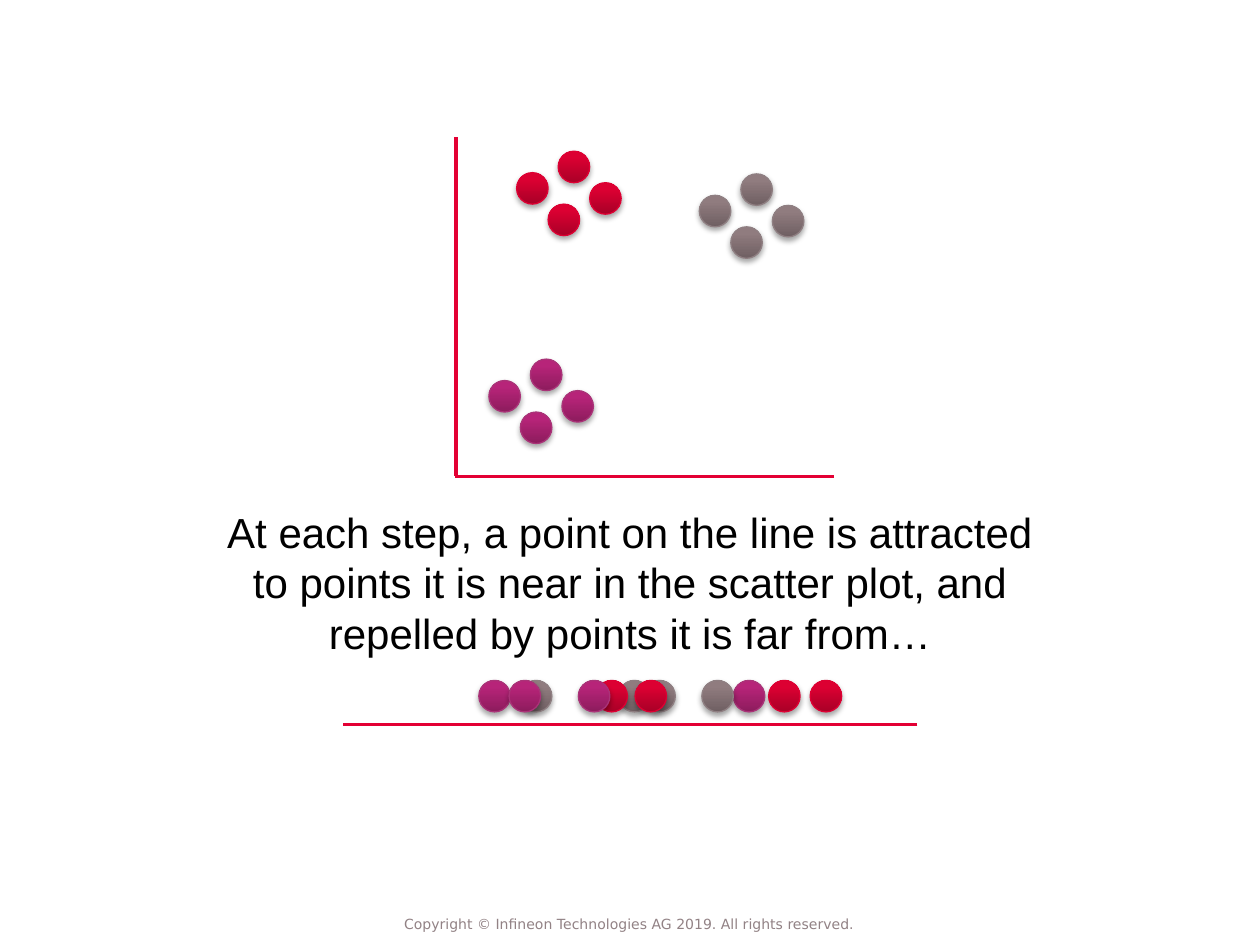
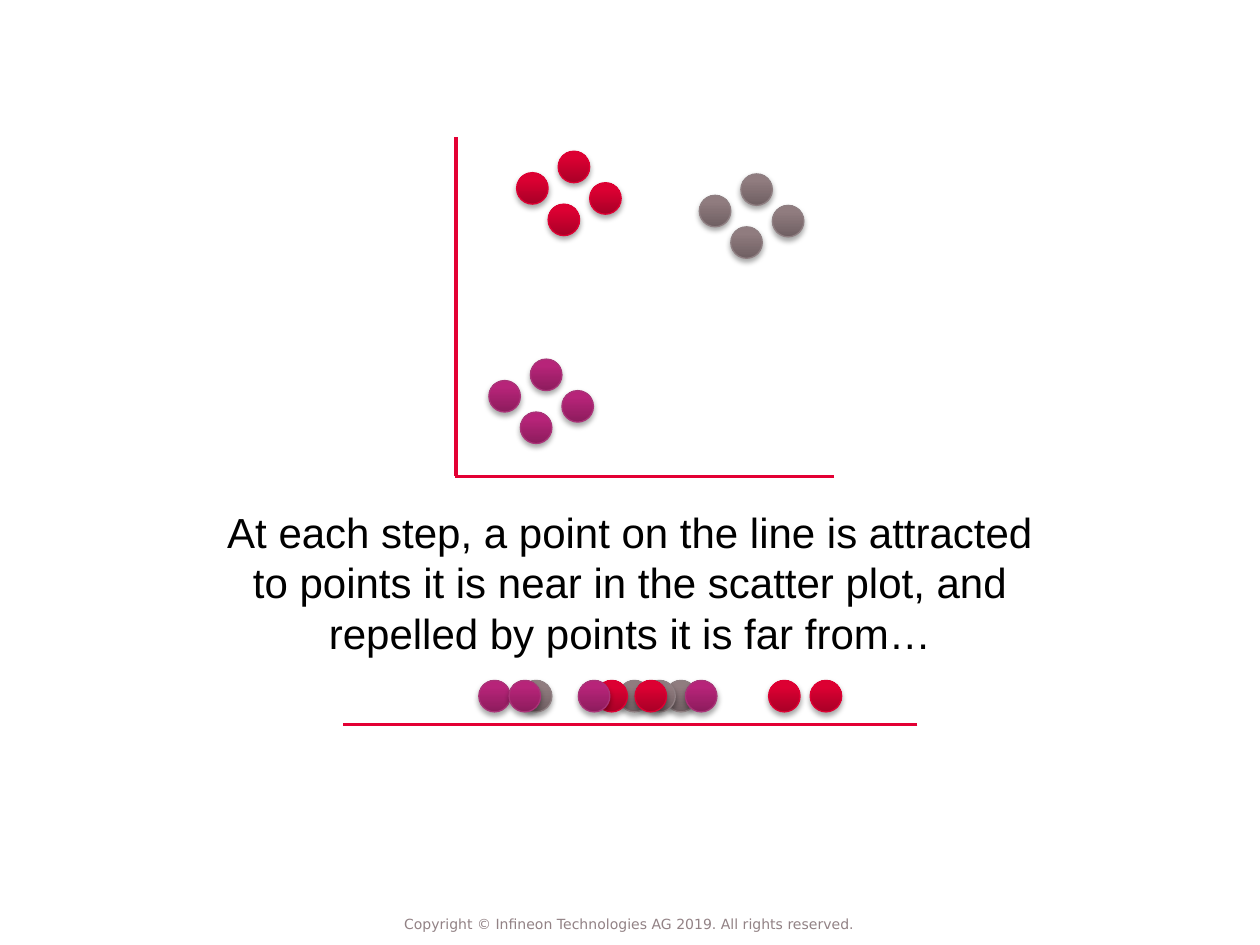
"""Build two slides showing points on a line being moved to match the clusters of a scatter plot."""
from copy import deepcopy
from dataclasses import dataclass

from lxml.etree import SubElement
from pptx import Presentation
from pptx.dml.color import RGBColor
from pptx.enum.shapes import MSO_CONNECTOR, MSO_SHAPE
from pptx.enum.text import MSO_ANCHOR, MSO_AUTO_SIZE, PP_ALIGN
from pptx.oxml.ns import qn
from pptx.util import Pt

PX = 9144


@dataclass(frozen=True)
class Theme:
    axis: str = "E30034"
    red: tuple = ("A90027", "DC0032", "DD0033", "DE0033")
    purple: tuple = ("8D1C5D", "B72479", "BA227A", "AA3378")
    grey: tuple = ("6F5F62", "907C7F", "917C80", "8F7F82")
    caption: tuple = ("Arial", 24, "000000")
    footer: tuple = ("DejaVu Sans", 8, "928285")
    axis_width: float = 2
    dot_outline: float = 0.75


theme = Theme()


def add_dot(shapes, left, top, colours):
    """Add one shaded dot with a soft shadow."""
    dot = shapes.add_shape(MSO_SHAPE.OVAL, left * PX, top * PX, DOT_SIZE * PX, DOT_SIZE * PX)
    dot.fill.gradient()
    dot.fill.gradient_angle = 90
    stop_list = dot.element.spPr.find(".//" + qn("a:gsLst"))
    stop_list.append(deepcopy(stop_list[-1]))
    for stop, position, colour in zip(dot.fill.gradient_stops, (0, 0.8, 1), colours):
        stop.position = position
        stop.color.rgb = RGBColor.from_string(colour)
    dot.line.color.rgb = RGBColor.from_string(colours[-1])
    dot.line.width = Pt(theme.dot_outline)
    dot.shadow.inherit = False
    effects = dot.element.spPr.find(qn("a:effectLst"))
    shadow = SubElement(effects, qn("a:outerShdw"), blurRad="39370", dist="22860",
                        dir="5400000", rotWithShape="0")
    shadow_colour = SubElement(shadow, qn("a:srgbClr"), val="000000")
    SubElement(shadow_colour, qn("a:alpha"), val="35000")


def add_text(slide, box, text, style):
    """Add a centred text box and return its text frame."""
    text_frame = slide.shapes.add_textbox(*(length * PX for length in box)).text_frame
    text_frame.word_wrap = True
    text_frame.text = text
    paragraph = text_frame.paragraphs[0]
    paragraph.alignment = PP_ALIGN.CENTER
    font = paragraph.runs[0].font
    font.name, font.size = style[0], Pt(style[1])
    font.color.rgb = RGBColor.from_string(style[2])
    return text_frame


DOT_SIZE = 25
LINE_DOT_TOP = 540
CLUSTER_OFFSETS = ((0, 17), (33, 0), (25, 42), (58, 25))
CLUSTERS = ((410, 120, theme.red), (388, 285, theme.purple), (555, 138, theme.grey))
AXES = ((662, 378, 361, 378), (362, 109, 362, 378), (728, 575, 272, 575))
CAPTION = ("At each step, a point on the line is attracted to points it is near "
           "in the scatter plot, and repelled by points it is far from…")
FOOTER = "Copyright © Infineon Technologies AG 2019. All rights reserved."

right_dots = [(610, theme.red), (380, theme.purple), (643, theme.red)]
settled_dots = [(511, theme.grey), (491, theme.grey), (413, theme.grey), (473, theme.red),
                (459, theme.purple), (404, theme.purple), (504, theme.red)]
steps = (
    right_dots + [(582, theme.purple), (557, theme.grey)] + settled_dots,
    right_dots + [(528, theme.grey)] + settled_dots + [(544, theme.purple)],
)

presentation = Presentation()
presentation.slide_width = 1000 * PX
presentation.slide_height = 750 * PX

for line_dots in steps:
    slide = presentation.slides.add_slide(presentation.slide_layouts[6])

    for cluster_left, cluster_top, colours in CLUSTERS:
        cluster = slide.shapes.add_group_shape()
        for across, down in CLUSTER_OFFSETS:
            add_dot(cluster.shapes, cluster_left + across, cluster_top + down, colours)

    for ends in AXES:
        axis = slide.shapes.add_connector(MSO_CONNECTOR.STRAIGHT, *(end * PX for end in ends))
        axis.line.color.rgb = RGBColor.from_string(theme.axis)
        axis.line.width = Pt(theme.axis_width)
        SubElement(axis.element.spPr, qn("a:effectLst"))

    for left, colours in line_dots:
        add_dot(slide.shapes, left, LINE_DOT_TOP, colours)

    caption = add_text(slide, (157, 397, 686, 131), CAPTION, theme.caption)
    caption.auto_size = MSO_AUTO_SIZE.SHAPE_TO_FIT_TEXT

    footer = add_text(slide, (300, 717, 399, 33), FOOTER, theme.footer)
    footer.vertical_anchor = MSO_ANCHOR.MIDDLE
    footer.margin_left = footer.margin_right = footer.margin_top = footer.margin_bottom = 0

presentation.save("out.pptx")
